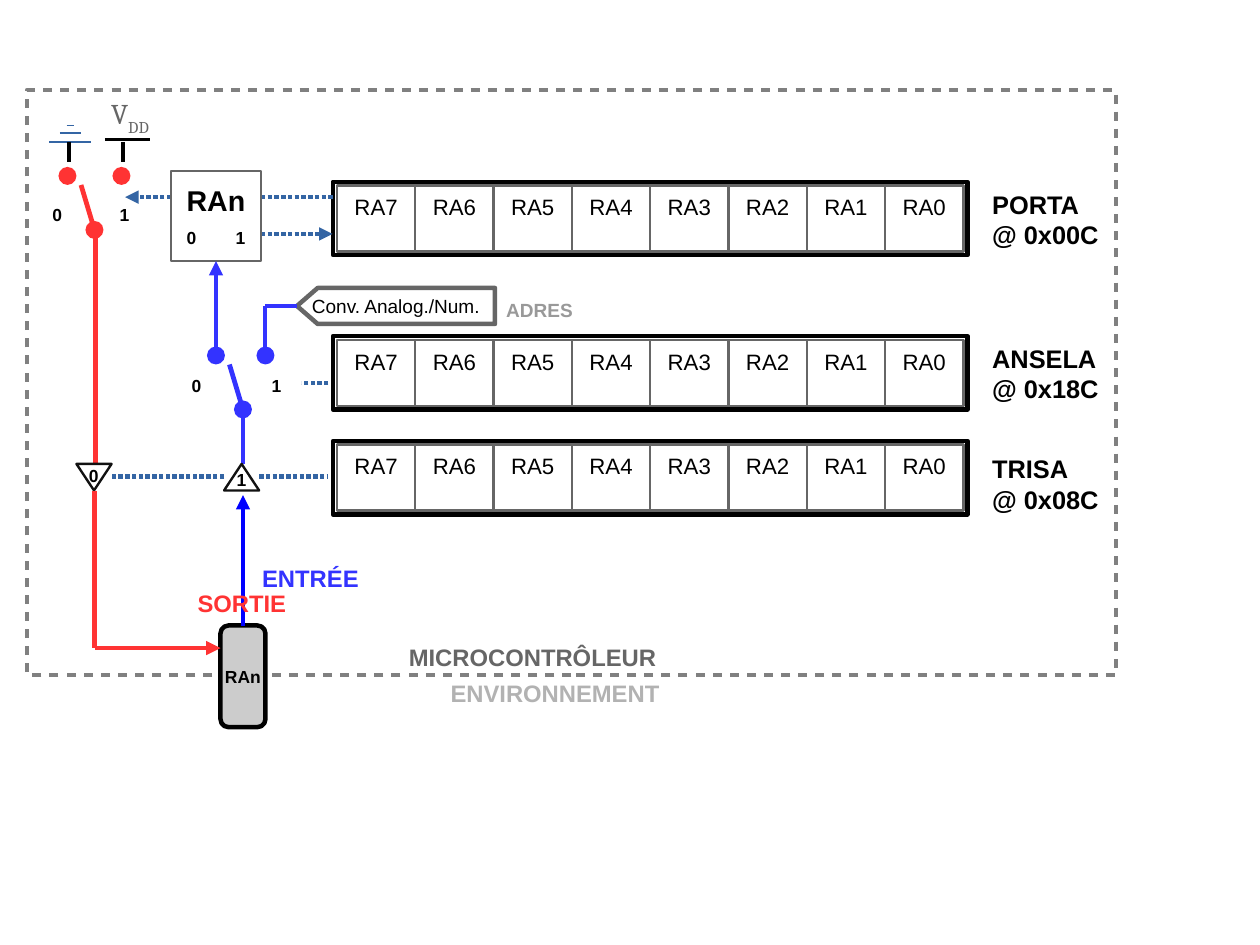
import pptx
import pptx.util
import pptx.dml.color
import pptx.enum.shapes
import pptx.enum.text
import pptx.oxml.ns
import lxml.etree

Cm = pptx.util.Cm
Pt = pptx.util.Pt
KIND = pptx.enum.shapes.MSO_SHAPE
ALIGN = pptx.enum.text.PP_ALIGN
ANCHOR = pptx.enum.text.MSO_ANCHOR

BLACK, WHITE, GREY = "000000", "FFFFFF", "666666"
RED, BLUE, STEEL = "FF3333", "3333FF", "3465A4"


def color(code):
    return pptx.dml.color.RGBColor.from_string(code)


def add_tag(parent, name, **attrs):
    return lxml.etree.SubElement(parent, pptx.oxml.ns.qn(name), **attrs)


def add_dash(line, dash, gap):
    dashes = add_tag(line._get_or_add_ln(), "a:custDash")
    add_tag(dashes, "a:ds", d=str(dash * 1000), sp=str(gap * 1000))


def style(shape, fill, edge, width):
    shape.shadow.inherit = False
    if fill:
        shape.fill.solid()
        shape.fill.fore_color.rgb = color(fill)
    else:
        shape.fill.background()
    if edge:
        shape.line.color.rgb = color(edge)
        shape.line.width = Pt(width)
    else:
        shape.line.fill.background()
    return shape


def draw(slide, kind, box, fill=None, edge=None, width=1.5):
    shape = slide.shapes.add_shape(kind, *map(Cm, box))
    return style(shape, fill, edge, width)


def write(shape, text, size, hue=BLACK, bold=True, align=ALIGN.CENTER, font="Arial"):
    frame = shape.text_frame
    frame.text = text
    for para in frame.paragraphs:
        para.alignment = align
        for run in para.runs:
            run.font.size = Pt(size)
            run.font.name = font
            run.font.bold = bold
            run.font.color.rgb = color(hue)
    return frame


def label(slide, box, text, size, **looks):
    shape = slide.shapes.add_textbox(*map(Cm, box))
    shape.text_frame.word_wrap = True
    return write(shape, text, size, **looks)


def mark(slide, x, y, text):
    label(slide, (x, y, 1.27, 0.69), text, 11)


def fill_box(shape, text, size, top=None, bold=True):
    frame = write(shape, text, size, bold=bold)
    frame.word_wrap = False
    frame.vertical_anchor = ANCHOR.MIDDLE if top is None else ANCHOR.TOP
    if top is not None:
        frame.margin_top = Cm(top)


def wire(slide, x1, y1, x2, y2, hue, width=3, arrow=False, dotted=False):
    line = slide.shapes.add_connector(
        pptx.enum.shapes.MSO_CONNECTOR.STRAIGHT, *map(Cm, (x1, y1, x2, y2)))
    line.line.color.rgb = color(hue)
    line.line.width = Pt(width)
    if dotted:
        add_dash(line.line, 100, 50)
    if arrow:
        add_tag(line.line._get_or_add_ln(), "a:tailEnd", type="triangle")
    add_tag(line._element.spPr, "a:effectLst")
    return line


def border(slide, box):
    x, y, w, h = box
    edge = draw(slide, KIND.RECTANGLE, box, edge="808080", width=2.83)
    add_dash(edge.line, 200, 180)
    for left, top, text, hue in (
        (8.2, -0.85, "MICROCONTRÔLEUR", GREY),
        (8.7, -0.04, "ENVIRONNEMENT", "B2B2B2"),
    ):
        label(slide, (x + left, y + h + top, 6.07, 1.04), text, 15, hue=hue)


def register(slide, box, title, drop):
    x, y, w, h = box
    draw(slide, KIND.RECTANGLE, box, edge=BLACK, width=2.83)
    step = 1.74
    for i in range(8):
        cell = (x + 0.09 + i * step, y + 0.08, step, h - 0.16)
        fill_box(draw(slide, KIND.RECTANGLE, cell, edge=GREY),
                 f"RA{7 - i}", 14, top=0.18, bold=False)
    label(slide, (x + w + 0.3, y + drop, 3.6, 1.83), title, 16, align=ALIGN.LEFT)


def switch(slide, box, hue, zero, one, drop):
    x, y, w, h = box
    dot = 0.4
    for left, top in ((0, 0), (w - dot, 0), (0.6, h - dot)):
        draw(slide, KIND.OVAL, (x + left, y + top, dot, dot), fill=hue)
    wire(slide, x + 0.5, y + 0.4, x + 0.8, y + h - dot / 2, hue)
    mark(slide, x + zero, y + drop, "0")
    mark(slide, x + one, y + drop, "1")


def supply(slide, box):
    x, y, w, h = box
    for top, half in ((1.15, 0.46), (0.95, 0.23), (0.79, 0.08)):
        wire(slide, x + 0.46 - half, y + top, x + 0.46 + half, y + top, STEEL, 1.13)
    wire(slide, x + w - 1, y + 1.1, x + w, y + 1.1, BLACK, 2.3)
    for left in (0.44, w - 0.6):
        wire(slide, x + left, y + 1.15, x + left, y + h, BLACK, 2.3)
    frame = label(slide, (x + 1.12, y, 1.5, 1.2), "V", 18, hue=GREY,
                  bold=False, align=ALIGN.LEFT, font="Cambria")
    sub = frame.paragraphs[0].add_run()
    sub.text = "DD"
    sub.font.size = Pt(18)
    sub.font.name = "Cambria"
    sub.font.color.rgb = color(GREY)
    sub._r.get_or_add_rPr().set("baseline", "-33000")


def port_box(slide, box):
    x, y, w, h = box
    wire(slide, x, y + 0.58, x - 1.02, y + 0.58, STEEL, 2.83, arrow=True, dotted=True)
    wire(slide, x + w, y + 0.58, x + w + 1.59, y + 0.58, STEEL, 2.83, dotted=True)
    wire(slide, x + w, y + 1.4, x + w + 1.59, y + 1.4, STEEL, 2.83, arrow=True, dotted=True)
    shape = draw(slide, KIND.RECTANGLE, box, fill=WHITE, edge=GREY)
    fill_box(shape, "RAn", 18, top=0.27)
    mark(slide, x - 0.18, y + 1.12, "0")
    mark(slide, x + 0.91, y + 1.12, "1")
    return shape


def converter(slide, box):
    x, y, w, h = box
    tip = 0.46
    points = ((x + tip, y), (x, y + h / 2), (x + tip, y + h), (x + w, y + h))
    outline = slide.shapes.build_freeform(Cm(x + w), Cm(y))
    outline.add_line_segments([(Cm(a), Cm(b)) for a, b in points])
    shape = style(outline.convert_to_shape(), None, GREY, 2.83)
    fill_box(shape, "Conv. Analog./Num.", 12, bold=False)
    label(slide, (x + w, y + 0.1, 3.96, 0.79), "ADRES", 12,
          hue="999999", align=ALIGN.LEFT)
    wire(slide, x - 0.71, y + h / 2, x, y + h / 2, BLUE)
    wire(slide, x - 0.71, y + h / 2, x - 0.71, y + 1.6, BLUE)


def buffers(slide, box):
    x, y, w, h = box
    side = 0.78
    mid = y + 0.28
    wire(slide, x + w - side, mid, x + side, mid, STEEL, 2.83, dotted=True)
    wire(slide, x + w, mid, x + w + 1.52, mid, STEEL, 2.83, dotted=True)
    for kind, left, drop, text in (
        (KIND.FLOWCHART_MERGE, x, -0.1, "0"),
        (KIND.ISOSCELES_TRIANGLE, x + w - side, 0, "1"),
    ):
        draw(slide, kind, (left, y, side, h), fill=WHITE, edge="111111")
        mark(slide, left + side / 2 - 0.64, y + drop, text)


def pin(slide, box):
    x, y, w, h = box
    shape = draw(slide, KIND.ROUNDED_RECTANGLE, box, fill="CCCCCC", edge=BLACK, width=2.83)
    shape.adjustments[0] = 0.18
    fill_box(shape, "RAn", 11)
    mid = x + w / 2
    wire(slide, mid, y, mid, y - 2.9, "0000FF", arrow=True).begin_connect(shape, 0)
    wire(slide, x - 2.8, y + 0.5, x, y + 0.5, RED, arrow=True)
    wire(slide, x - 2.8, y - 3, x - 2.8, y + 0.5, RED)
    label(slide, (x + 0.5, y - 1.5, 3, 1.04), "ENTRÉE", 15, hue=BLUE)
    label(slide, (x - 2.56, y - 0.95, 6.07, 1.04), "SORTIE", 15, hue=RED)


def main():
    deck = pptx.Presentation()
    deck.slide_width = Cm(28)
    deck.slide_height = Cm(21)
    slide = deck.slides.add_slide(deck.slide_layouts[6])

    border(slide, (0.6, 2, 24.2, 13))
    for top, title, drop in (
        (4.04, "PORTA\n@ 0x00C", 0.03),
        (7.47, "ANSELA\n@ 0x18C", 0.03),
        (9.8, "TRISA\n@ 0x08C", 0.15),
    ):
        register(slide, (7.4, top, 14.1, 1.63), title, drop)

    port = port_box(slide, (3.8, 3.8, 2, 2))
    converter(slide, (6.6, 6.4, 4.4, 0.8))
    wire(slide, 7.3, 8.51, 6.7, 8.51, STEEL, 2.83, dotted=True)
    wire(slide, 4.8, 7.9, 4.8, 5.8, BLUE, arrow=True).end_connect(port, 2)
    wire(slide, 5.4, 9.1, 5.4, 10.31, BLUE)
    wire(slide, 2.12, 5.1, 2.12, 10.31, RED)
    buffers(slide, (1.7, 10.31, 4.06, 0.59))
    supply(slide, (1.1, 2, 2.23, 1.61))
    switch(slide, (1.3, 3.71, 1.6, 1.6), RED, -0.66, 0.83, 0.69)
    switch(slide, (4.6, 7.7, 1.5, 1.6), BLUE, -0.87, 0.91, 0.5)
    pin(slide, (4.9, 13.9, 1, 2.26))

    deck.save("out.pptx")


if __name__ == "__main__":
    main()
